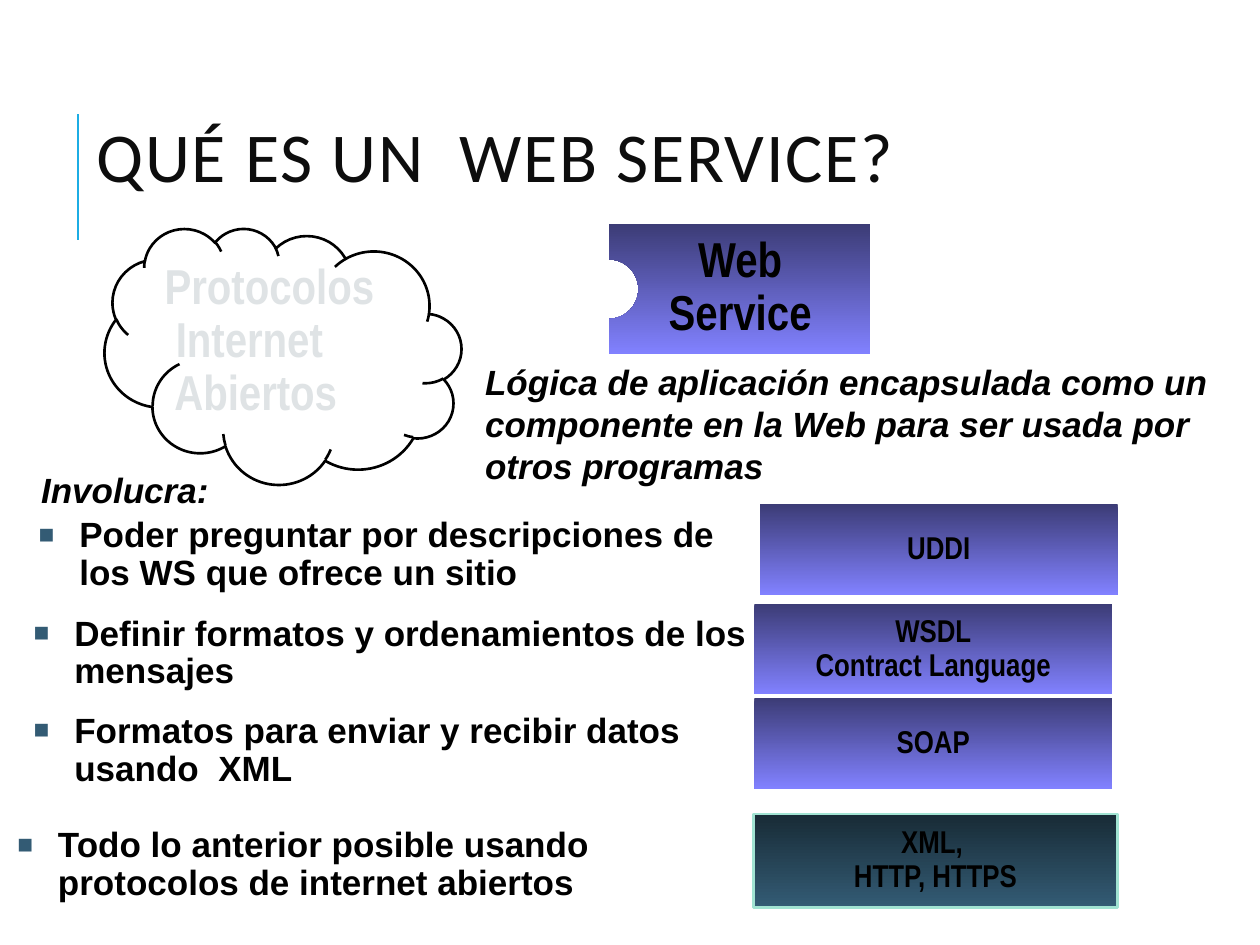
"""Build the slide that explains what a web service is."""
from math import cos, pi, sin

from lxml import etree
from pptx import Presentation
from pptx.dml.color import RGBColor
from pptx.enum import shapes, text
from pptx.oxml import ns
from pptx.util import Cm, Pt

BLACK = RGBColor(0x00, 0x00, 0x00)
WHITE = RGBColor(0xFF, 0xFF, 0xFF)
TITLE_INK = RGBColor(0x0D, 0x0D, 0x0D)
PALE_GRAY = RGBColor(0xDF, 0xE3, 0xE5)
ACCENT_BLUE = RGBColor(0x1C, 0xAD, 0xE4)
INDIGO = RGBColor(0x3C, 0x3C, 0x76)
VIOLET = RGBColor(0x81, 0x81, 0xFF)
DARK_TEAL = RGBColor(0x18, 0x2B, 0x36)
TEAL = RGBColor(0x33, 0x5B, 0x74)
MINT = RGBColor(0xA1, 0xE3, 0xD2)


def write(shape, content, size=20, font="Arial", color=BLACK, bold=True, italic=False,
          align=None, spacing=None, wrap=True, anchor=text.MSO_ANCHOR.TOP,
          bullet=False, tracking=0):
    frame = shape.text_frame
    frame.text = content
    frame.word_wrap = wrap
    frame.vertical_anchor = anchor
    for paragraph in frame.paragraphs:
        paragraph.alignment = align
        paragraph.line_spacing = spacing
        if bullet:
            properties = paragraph._p.get_or_add_pPr()
            properties.set("marL", str(Cm(0.82)))
            properties.set("indent", str(Cm(-0.82)))
            bullet_color = etree.SubElement(properties, ns.qn("a:buClr"))
            etree.SubElement(bullet_color, ns.qn("a:srgbClr"), val=str(TEAL))
            etree.SubElement(properties, ns.qn("a:buSzPct"), val="75000")
            etree.SubElement(properties, ns.qn("a:buFont"), typeface="Arial")
            etree.SubElement(properties, ns.qn("a:buChar"), char="■")
        for run in paragraph.runs:
            run.font.name = font
            run.font.size = Pt(size)
            run.font.bold = bold
            run.font.italic = italic
            run.font.color.rgb = color
            if tracking:
                run._r.get_or_add_rPr().set("spc", str(tracking * 100))


def shade(shape, top_color, bottom_color, outline=None):
    shape.shadow.inherit = False
    shape.fill.gradient()
    shape.fill.gradient_angle = 270
    for stop, color in zip(shape.fill.gradient_stops, (top_color, bottom_color)):
        stop.color.rgb = color
    if outline is None:
        shape.line.fill.background()
    else:
        shape.line.color.rgb = outline
        shape.line.width = Pt(1.5)


presentation = Presentation()
presentation.slide_width = Cm(25.4)
presentation.slide_height = Cm(19.05)
slide = presentation.slides.add_slide(presentation.slide_layouts[6])
items = slide.shapes

title_rule = items.add_connector(shapes.MSO_CONNECTOR.STRAIGHT,
                                 Cm(1.57), Cm(4.83), Cm(1.57), Cm(2.29))
title_rule.line.color.rgb = ACCENT_BLUE
title_rule.line.width = Pt(1.5)
etree.SubElement(title_rule._element.spPr, ns.qn("a:effectLst"))

title = items.add_textbox(Cm(1.7), Cm(2.31), Cm(25.4), Cm(1.93))
write(title, "QUÉ ES UN  WEB SERVICE?", size=40, font="Calibri", color=TITLE_INK,
      bold=False, spacing=0.8, anchor=text.MSO_ANCHOR.MIDDLE, tracking=1)

cloud = items.add_shape(shapes.MSO_SHAPE.CLOUD, Cm(2.11), Cm(4.6), Cm(7.19), Cm(5.16))
cloud._element.spPr.xfrm.set("flipH", "1")
cloud.shadow.inherit = False
cloud.fill.solid()
cloud.fill.fore_color.rgb = WHITE
cloud.line.color.rgb = BLACK
cloud.line.width = Pt(1.5)
cloud_label = items.add_textbox(Cm(3.07), Cm(5.16), Cm(4.95), Cm(3.45))
write(cloud_label, "Protocolos \v Internet\v Abiertos", size=28, font="Arial Narrow",
      color=PALE_GRAY, spacing=0.9, wrap=False)

left, top, right, bottom, radius = 12.27, 4.52, 17.55, 7.14, 0.6
middle = (top + bottom) / 2
steps = 24
notch = [(left + radius * sin(pi * step / steps), middle + radius * cos(pi * step / steps))
         for step in range(steps + 1)]
outline = [(right, top), (right, bottom), (left, bottom)] + notch
builder = items.build_freeform(Cm(left), Cm(top))
builder.add_line_segments([(Cm(x), Cm(y)) for x, y in outline])
service = builder.convert_to_shape()
shade(service, INDIGO, VIOLET)
service_label = items.add_textbox(Cm(12.52), Cm(4.62), Cm(4.8), Cm(2.39))
write(service_label, "Web Service", size=28, font="Arial Narrow",
      align=text.PP_ALIGN.CENTER, spacing=0.9)

definition = items.add_textbox(Cm(9.53), Cm(7.14), Cm(16.08), Cm(2.79))
write(definition, "Lógica de aplicación encapsulada como un componente en la Web "
      "para ser usada por otros programas", italic=True)

heading = items.add_textbox(Cm(0.58), Cm(9.32), Cm(3.89), Cm(1.09))
write(heading, "Involucra:", italic=True, wrap=False)

violet_box = (7.21, 1.83, INDIGO, VIOLET, None)
teal_box = (7.34, 1.88, DARK_TEAL, TEAL, MINT)
layers = [
    ("Poder preguntar por descripciones de los WS que ofrece un sitio",
     0.53, 10.31, 14.6, "UDDI", 15.32, 10.16, violet_box),
    ("Definir formatos y ordenamientos de los mensajes",
     0.43, 12.29, 15, "WSDL\nContract Language", 15.21, 12.17, violet_box),
    ("Formatos para enviar y recibir datos usando  XML",
     0.43, 14.25, 14.6, "SOAP", 15.21, 14.07, violet_box),
    ("Todo lo anterior posible usando protocolos de internet abiertos",
     0.1, 16.56, 14.88, "XML, \vHTTP, HTTPS", 15.19, 16.41, teal_box),
]
for purpose, text_left, text_top, text_width, standard, box_left, box_top, style in layers:
    width, height, top_color, bottom_color, border = style
    box = items.add_shape(shapes.MSO_SHAPE.RECTANGLE,
                          Cm(box_left), Cm(box_top), Cm(width), Cm(height))
    shade(box, top_color, bottom_color, border)
    write(box, standard, size=18, font="Arial Narrow", align=text.PP_ALIGN.CENTER,
          spacing=0.9, wrap=False, anchor=text.MSO_ANCHOR.MIDDLE)
    point = items.add_textbox(Cm(text_left), Cm(text_top), Cm(text_width), Cm(1.78))
    write(point, purpose, spacing=0.9, bullet=True)

presentation.save("out.pptx")
